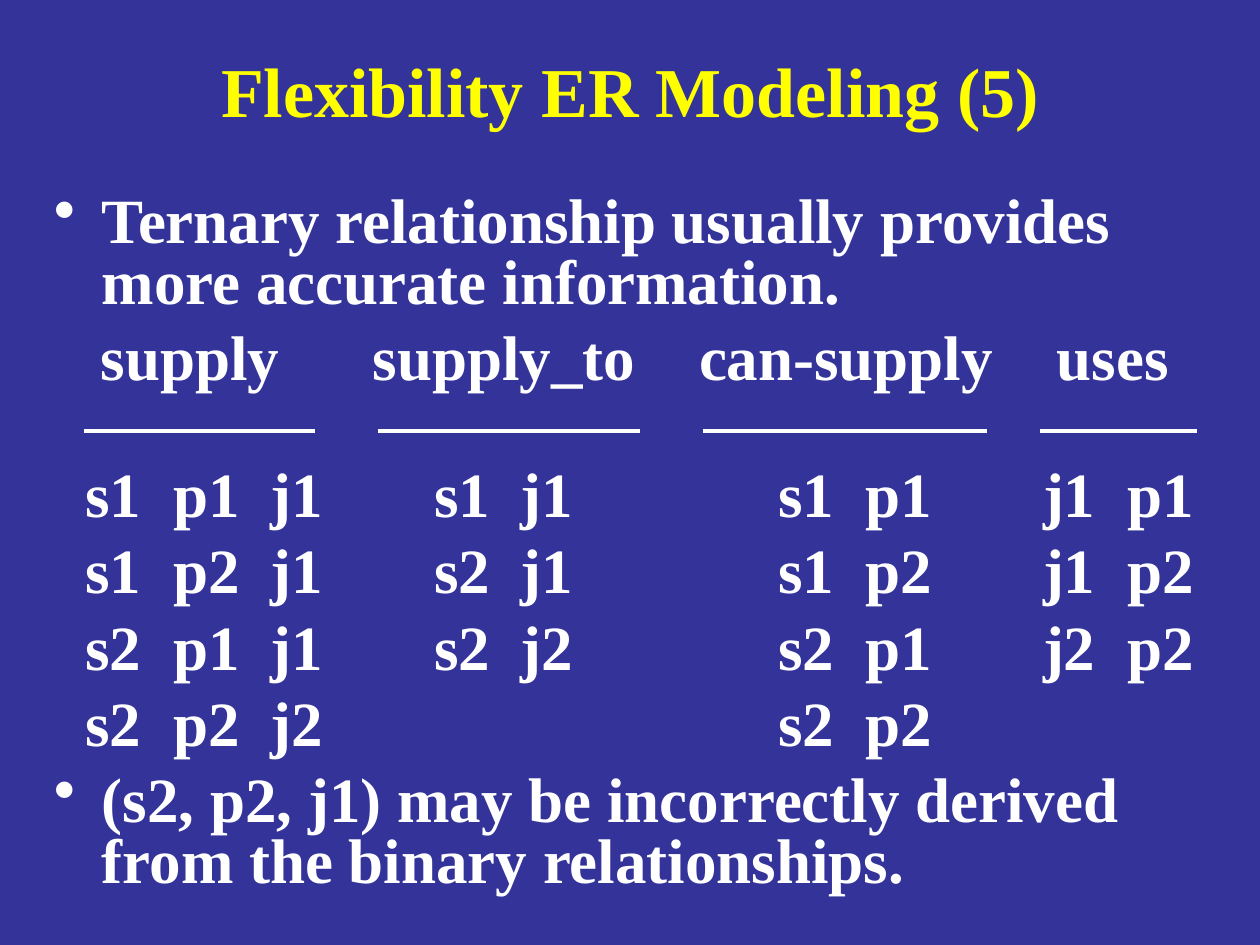
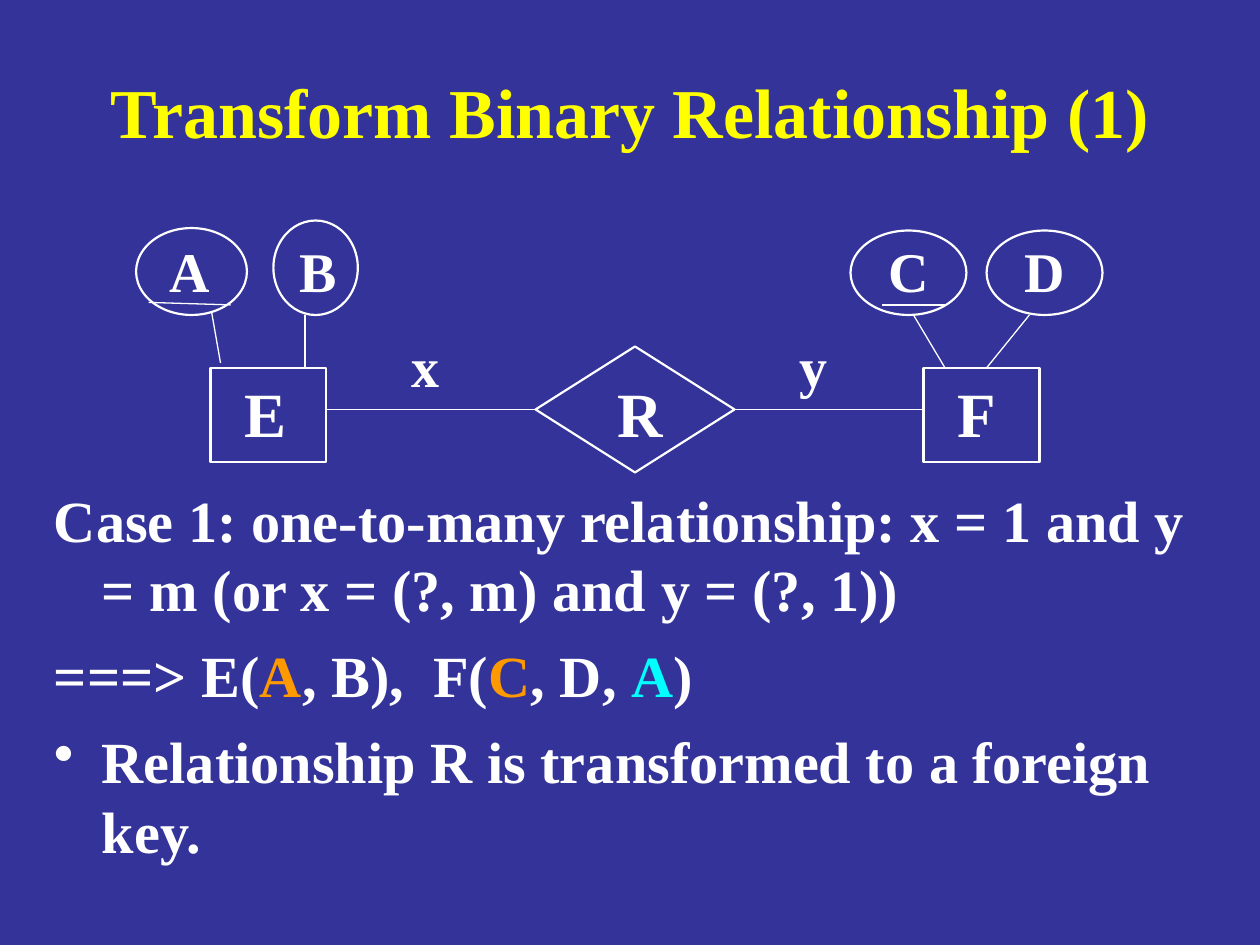
from lxml import etree
from pptx import Presentation
from pptx.dml.color import RGBColor
from pptx.enum.shapes import MSO_CONNECTOR, MSO_SHAPE
from pptx.enum.text import MSO_ANCHOR, PP_ALIGN
from pptx.oxml.ns import qn
from pptx.util import Inches, Pt

STRAIGHT = MSO_CONNECTOR.STRAIGHT
RECTANGLE, ELLIPSE, DIAMOND = MSO_SHAPE.RECTANGLE, MSO_SHAPE.OVAL, MSO_SHAPE.DIAMOND
MIDDLE, TOP = MSO_ANCHOR.MIDDLE, MSO_ANCHOR.TOP
LEFT, CENTER = PP_ALIGN.LEFT, PP_ALIGN.CENTER

FONT = "Times New Roman"
BLUE, YELLOW, WHITE = "333399", "FFFF00", "FFFFFF"
ORANGE, CYAN = "FF9900", "00FFFF"
HANGING = 0.38


def rgb(color):
    return RGBColor.from_string(color)


def write(para, text, size=36, color=WHITE):
    """Add one bold span of text to a paragraph."""
    span = para.add_run()
    span.text = text
    span.font.name = FONT
    span.font.size = Pt(size)
    span.font.bold = True
    span.font.color.rgb = rgb(color)


class Deck:
    """The shared style and the current slide."""

    def __init__(self):
        self.deck = Presentation()
        self.deck.slide_width = Inches(10)
        self.deck.slide_height = Inches(7.5)
        self.page = None

    def new_page(self, title, top):
        self.page = self.deck.slides.add_slide(self.deck.slide_layouts[6])
        fill = self.page.background.fill
        fill.solid()
        fill.fore_color.rgb = rgb(BLUE)
        frame = self.text_box(0.75, top, 8.5, 0.92, anchor=MIDDLE)
        para = self.paragraph(frame, align=CENTER)
        write(para, title, size=40, color=YELLOW)

    def text_box(self, left, top, width, height, anchor=TOP):
        box = self.page.shapes.add_textbox(
            Inches(left), Inches(top), Inches(width), Inches(height))
        frame = box.text_frame
        frame.word_wrap = True
        frame.vertical_anchor = anchor
        return frame

    def paragraph(self, frame, align=LEFT, hanging=False, bullet=False,
                  tabs=(), before=0, spacing=None):
        """Start the next paragraph of a frame; the first has no space before."""
        first = frame.paragraphs[0]
        is_first = not first.runs
        para = first if is_first else frame.add_paragraph()
        props = para._p.get_or_add_pPr()
        if hanging:
            props.set("marL", str(Inches(HANGING)))
            props.set("indent", str(-Inches(HANGING)))
        if bullet:
            color = etree.SubElement(props, qn("a:buClr"))
            etree.SubElement(color, qn("a:srgbClr"), val=WHITE)
            etree.SubElement(props, qn("a:buChar"), char="•")
        if tabs:
            stops = etree.SubElement(props, qn("a:tabLst"))
            for stop in tabs:
                etree.SubElement(stops, qn("a:tab"), pos=str(Inches(stop)), algn="l")
        para.alignment = align
        para.space_before = Pt(0 if is_first else before)
        if spacing:
            para.line_spacing = spacing
        return para

    def label(self, text, left, top, size=32):
        frame = self.text_box(left, top, 0.6, 0.7)
        write(self.paragraph(frame), text, size=size)

    def outline(self, kind, left, top, width, height):
        shape = self.page.shapes.add_shape(
            kind, Inches(left), Inches(top), Inches(width), Inches(height))
        shape.shadow.inherit = False
        shape.fill.background()
        shape.line.color.rgb = rgb(WHITE)
        shape.line.width = Pt(1.25)

    def line(self, x1, y1, x2, y2, weight=0.75):
        line = self.page.shapes.add_connector(
            STRAIGHT, Inches(x1), Inches(y1), Inches(x2), Inches(y2))
        line.line.color.rgb = rgb(WHITE)
        line.line.width = Pt(weight)
        etree.SubElement(line._element.spPr, qn("a:effectLst"))

    def save(self):
        self.deck.save("out.pptx")


def ternary_page(deck):
    deck.new_page("Flexibility ER Modeling (5)", top=0.25)
    frame = deck.text_box(0.33, 1.5, 9.33, 5.75)
    style = {"before": 9, "spacing": 0.8}

    def point(text):
        write(deck.paragraph(frame, hanging=True, bullet=True, **style), text)

    point("Ternary relationship usually provides more accurate information.")

    # Relation names, then their tuples, on tab stops
    names = deck.paragraph(frame, tabs=(0.37, 2.53, 5.12, 7.96), **style)
    write(names, "\tsupply\tsupply_to\tcan-supply\tuses")
    value_stops = (0.25, 0.95, 1.72, 3.02, 3.7, 5.75, 6.44, 7.85, 8.52)
    rows = [
        ("s1", "p1", "j1", "s1", "j1", "s1", "p1", "j1", "p1"),
        ("s1", "p2", "j1", "s2", "j1", "s1", "p2", "j1", "p2"),
        ("s2", "p1", "j1", "s2", "j2", "s2", "p1", "j2", "p2"),
        ("s2", "p2", "j2", "", "", "s2", "p2"),
    ]
    for index, row in enumerate(rows):
        before = 9 if index else 44  # room for the rules under the names
        para = deck.paragraph(frame, tabs=value_stops, before=before, spacing=0.8)
        write(para, "".join("\t" + value for value in row))

    point("(s2, p2, j1) may be incorrectly derived from the binary relationships.")

    # Rules under the relation names
    for start, end in [(0.67, 2.5), (3, 5.08), (5.58, 7.83), (8.25, 9.5)]:
        deck.line(start, 3.42, end, 3.42, weight=2.25)


def binary_page(deck):
    deck.new_page("Transform Binary Relationship (1)", top=0.42)

    # Case text
    frame = deck.text_box(0.33, 3.79, 9.33, 3.38)
    lines = [
        (False, [("Case 1: one-to-many relationship: x = 1 and y = m "
                  "(or x = (?, m) and y = (?, 1))", WHITE)]),
        (False, [("===> E(", WHITE), ("A", ORANGE), (", B),  F(", WHITE),
                 ("C", ORANGE), (", D, ", WHITE), ("A", CYAN), (")", WHITE)]),
        (True, [("Relationship R is transformed to a foreign key.", WHITE)]),
    ]
    for bullet, spans in lines:
        para = deck.paragraph(frame, hanging=True, bullet=bullet, before=9)
        for text, color in spans:
            write(para, text, size=33.3, color=color)

    # Entities and relationship
    deck.outline(RECTANGLE, 1.67, 2.92, 0.92, 0.75)
    deck.outline(DIAMOND, 4.25, 2.75, 1.58, 1)
    deck.outline(RECTANGLE, 7.33, 2.92, 0.92, 0.75)
    for text, left in [("E", 1.84), ("R", 4.8), ("F", 7.5)]:
        deck.label(text, left, 2.92, size=36)

    # Attributes
    deck.outline(ELLIPSE, 1.08, 1.81, 0.88, 0.69)
    deck.outline(ELLIPSE, 2.17, 1.75, 0.67, 0.75)
    deck.outline(ELLIPSE, 6.75, 1.83, 0.92, 0.67)
    deck.outline(ELLIPSE, 7.83, 1.83, 0.92, 0.67)
    for text, left in [("A", 1.25), ("B", 2.28), ("C", 6.95), ("D", 8.03)]:
        deck.label(text, left, 1.83)

    # Cardinalities
    for text, left in [("x", 3.17), ("y", 6.25)]:
        deck.label(text, left, 2.58)

    links = [
        (2.58, 3.25, 4.25, 3.25), (5.83, 3.25, 7.33, 3.25),  # entity to relationship
        (1.75, 2.88, 1.68, 2.48), (2.42, 2.92, 2.42, 2.5),   # attributes of E
        (7.25, 2.5, 7.5, 2.92), (8.17, 2.5, 7.83, 2.92),     # attributes of F
        (1.18, 2.4, 1.83, 2.42), (7, 2.42, 7.5, 2.42),       # key underlines
    ]
    for link in links:
        deck.line(*link)


def main():
    deck = Deck()
    ternary_page(deck)
    binary_page(deck)
    deck.save()


if __name__ == "__main__":
    main()
